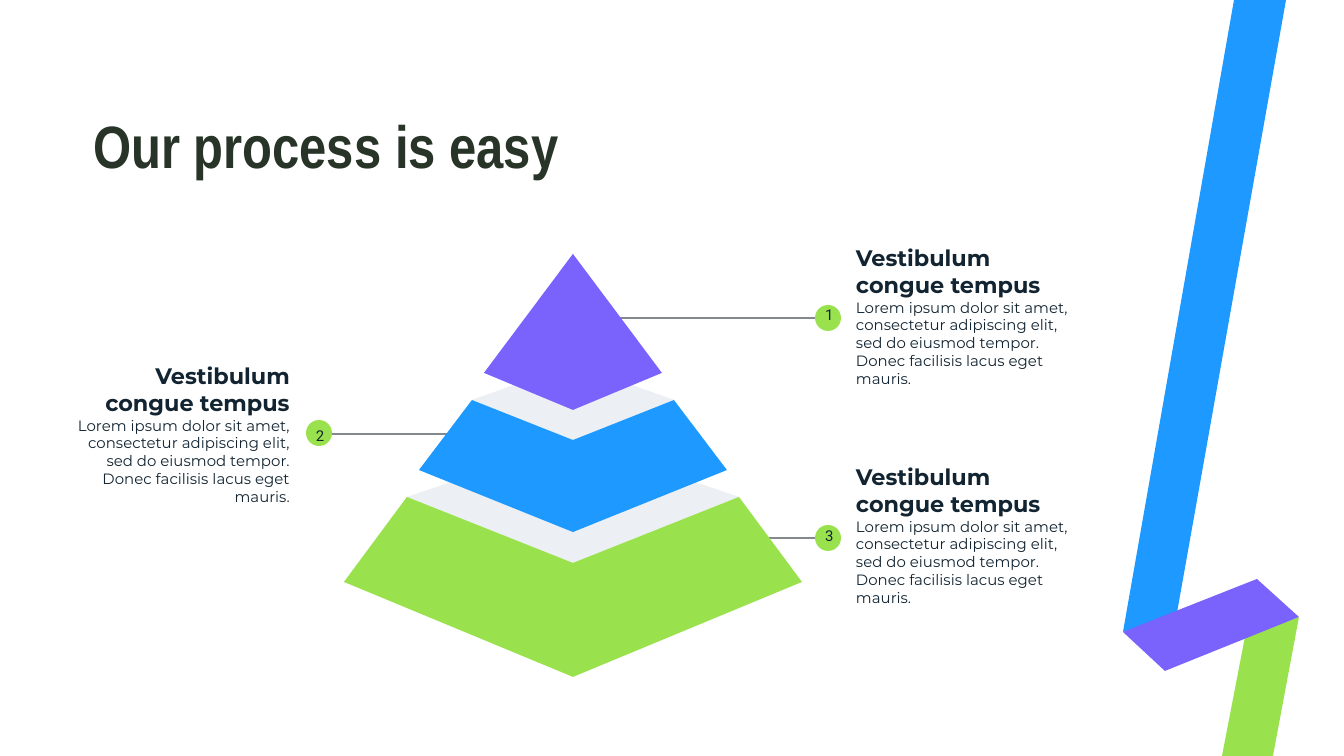
from pptx import Presentation
from pptx.dml.color import RGBColor
from pptx.enum.shapes import MSO_CONNECTOR as CONN, MSO_SHAPE as SHAPE
from pptx.enum.text import MSO_ANCHOR as ANCHOR, MSO_AUTO_SIZE as AUTO, PP_ALIGN as ALIGN
from pptx.oxml.ns import qn
from pptx.util import Pt
from lxml import etree

EMU = 914400 / 134.4
COLORS = {"blue": "1D99FF", "green": "99E24D", "purple": "7963FC",
          "shade": "ECEFF3", "line": "84898D", "title": "273427", "text": "122431"}
HEADING = "Vestibulum congue tempus"
BODY = ("Lorem ipsum dolor sit amet, consectetur adipiscing elit, "
        "sed do eiusmod tempor. Donec facilisis lacus eget mauris.")
INSET = 13

prs = Presentation()
prs.slide_width, prs.slide_height = round(1344 * EMU), round(756 * EMU)
s = prs.slides.add_slide(prs.slide_layouts[5])


def polygon(points, color):
    builder = s.shapes.build_freeform(*points[0], scale=EMU)
    builder.add_line_segments(points[1:], close=True)
    sp = builder.convert_to_shape()
    sp.shadow.inherit = False
    sp.fill.solid()
    sp.fill.fore_color.rgb = RGBColor.from_string(COLORS[color])
    sp.line.fill.background()


def write(sp, box, paragraphs, align, anchor, inset):
    sp.left, sp.top, sp.width, sp.height = [round(v * EMU) for v in box]
    tf = sp.text_frame
    frame = {"word_wrap": True, "auto_size": AUTO.NONE, "vertical_anchor": anchor}
    for side in ("left", "top", "right", "bottom"):
        frame["margin_" + side] = round(inset * EMU)
    for name, value in frame.items():
        setattr(tf, name, value)
    for i, (text, size, font, bold, color, spacing) in enumerate(paragraphs):
        p = tf.add_paragraph() if i else tf.paragraphs[0]
        p.alignment = align
        for name, value in spacing.items():
            setattr(p, name, value)
        r = p.add_run()
        r.text = text
        for name, value in {"size": Pt(size), "name": font, "bold": bold}.items():
            setattr(r.font, name, value)
        r.font.color.rgb = RGBColor.from_string(COLORS[color])


ribbon = [
    ([(1234, 0), (1286, 0), (1177, 613), (1123, 632)], "blue"),
    ([(1222, 756), (1245, 637), (1299, 617), (1273, 756)], "green"),
    ([(1123, 632), (1257, 579), (1299, 617), (1165, 671)], "purple"),
]
for points, color in ribbon:
    polygon(points, color)

write(s.shapes.title, (93, 122, 775, 58),
      [("Our process is easy", 32, "Arial Narrow", True, "title", {"line_spacing": 0.8})],
      ALIGN.LEFT, ANCHOR.BOTTOM, 0)

steps = [
    ("1", (617, 318, 841), (815, 305), (812, 293, 32, 40), (843, 226), ALIGN.LEFT),
    ("2", (450, 434, 314), (306, 420), (303, 414, 32, 40), (60, 344), ALIGN.RIGHT),
    ("3", (765, 538, 840), (815, 525), (812, 514, 32, 51), (843, 445), ALIGN.LEFT),
]
for number, (x1, y, x2), dot, label, corner, align in steps:
    line = s.shapes.add_connector(CONN.STRAIGHT, *[round(v * EMU) for v in (x1, y, x2, y)])
    line.line.color.rgb = RGBColor.from_string(COLORS["line"])
    line.line.width = Pt(0.75)
    etree.SubElement(line._element.spPr, qn("a:effectLst"))

    sp = s.shapes.add_shape(SHAPE.OVAL, *[round(v * EMU) for v in (*dot, 26, 26)])
    sp.shadow.inherit = False
    sp.fill.solid()
    sp.fill.fore_color.rgb = RGBColor.from_string(COLORS["green"])
    sp.line.fill.background()

    write(s.shapes.add_textbox(0, 0, 0, 0), (*corner, 243, 180),
          [(HEADING, 12, "Montserrat", True, "text", {}),
           (BODY, 8, "Montserrat", False, "text", {"space_after": Pt(16)})],
          align, ANCHOR.MIDDLE, INSET)
    write(s.shapes.add_textbox(0, 0, 0, 0), label,
          [(number, 8, "Roboto", False, "text", {"space_after": Pt(16)})],
          ALIGN.CENTER, ANCHOR.TOP, INSET)

AXIS = 573
tiers = [
    ([(407, 497), (344, 582), (AXIS, 677), (AXIS, 563)], "green", 441),
    ([(472, 400), (419, 470), (AXIS, 532), (AXIS, 440)], "blue", 364),
    ([(AXIS, 254), (484, 373), (AXIS, 410)], "purple", None),
]
for points, color, shade_top in tiers:
    if shade_top:
        x, y = points[0]
        polygon([(x, y), points[-1], (2 * AXIS - x, y), (AXIS, shade_top)], "shade")
    polygon([(2 * AXIS - x, y) for x, y in points], color)
    polygon(points, color)

prs.save("out.pptx")
